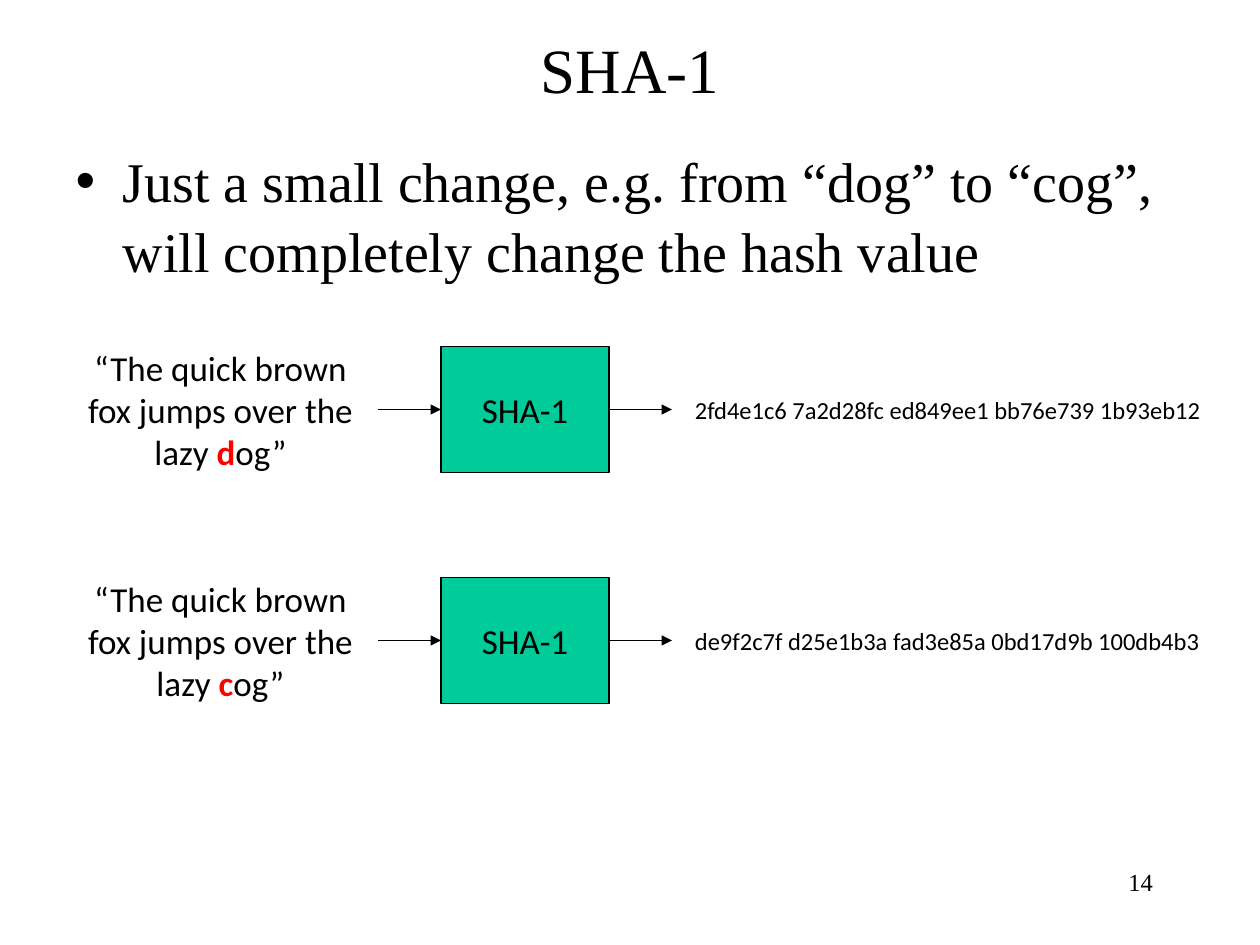
from lxml import etree
from pptx import Presentation
from pptx.dml.color import RGBColor
from pptx.enum.shapes import MSO_CONNECTOR, MSO_SHAPE
from pptx.enum.text import MSO_ANCHOR, MSO_AUTO_SIZE, PP_ALIGN
from pptx.oxml.ns import qn
from pptx.util import Pt

TITLE = "SHA-1"
BULLET = "Just a small change, e.g. from “dog” to “cog”, will completely change the hash value"
PAGE = "14"
HASHES = [
    ("d", "2fd4e1c6 7a2d28fc ed849ee1 bb76e739 1b93eb12"),
    ("c", "de9f2c7f d25e1b3a fad3e85a 0bd17d9b 100db4b3"),
]
COLORS = {"ink": "000000", "box": "00CC99", "changed": "FF0000"}
SERIF, SANS = "Times New Roman", "Calibri"

ROW_TOP, ROW_PITCH, ROW_H = 198, 132, 72
INPUT_X, INPUT_W = 36, 180
BOX_X, BOX_W = 252, 96
OUTPUT_X, OUTPUT_W = 390, 306
ARROW_W, ARROW_DROP = 36, 36


def rgb(name):
    return RGBColor.from_string(COLORS[name])


def place(s, x, y, w, h):
    s.left, s.top, s.width, s.height = Pt(x), Pt(y), Pt(w), Pt(h)


def write(s, runs, size, font, align=PP_ALIGN.LEFT, anchor=MSO_ANCHOR.MIDDLE):
    tf = s.text_frame
    tf.word_wrap = True
    tf.auto_size = MSO_AUTO_SIZE.NONE
    tf.vertical_anchor = anchor
    p = tf.paragraphs[0]
    p.alignment = align
    p.font.size, p.font.name = Pt(size), font
    for text, color in runs:
        r = p.add_run()
        r.text = text
        r.font.color.rgb = rgb(color)
        if color == "changed":
            r.font.bold = True
    return p


def add_text(x, y, w, h, *style):
    write(shapes.add_textbox(Pt(x), Pt(y), Pt(w), Pt(h)), *style)


def add_arrow(x, y):
    c = shapes.add_connector(MSO_CONNECTOR.STRAIGHT, Pt(x), Pt(y), Pt(x + ARROW_W), Pt(y))
    c.line.color.rgb = rgb("ink")
    c.line.width = Pt(0.75)
    etree.SubElement(c.line._get_or_add_ln(), qn("a:tailEnd"), type="triangle")
    etree.SubElement(c._element.spPr, qn("a:effectLst"))


def add_box(x, y, w, h, label):
    s = shapes.add_shape(MSO_SHAPE.RECTANGLE, Pt(x), Pt(y), Pt(w), Pt(h))
    s.shadow.inherit = False
    s.fill.solid()
    s.fill.fore_color.rgb = rgb("box")
    s.line.color.rgb = rgb("ink")
    s.line.width = Pt(0.75)
    write(s, [(label, "ink")], 20, SANS, PP_ALIGN.CENTER)


prs = Presentation()
prs.slide_width, prs.slide_height = Pt(720), Pt(540)
slide = prs.slides.add_slide(prs.slide_layouts[1])
shapes = slide.shapes

title, body = shapes.title, slide.placeholders[1]
place(title, 36, 12, 648, 54)
write(title, [(TITLE, "ink")], 36, SERIF, PP_ALIGN.CENTER)

place(body, 36, 78, 648, 356)
p = write(body, [(BULLET, "ink")], 32, SERIF, anchor=MSO_ANCHOR.TOP)
p.line_spacing = 1.05
p.space_before = Pt(2)
pPr = p._p.get_or_add_pPr()
pPr.set("marL", str(Pt(27)))
pPr.set("indent", str(-Pt(27)))

for i, (letter, digest) in enumerate(HASHES):
    y = ROW_TOP + i * ROW_PITCH
    phrase = [("“The quick brown fox jumps over the lazy ", "ink"), (letter, "changed"), ("og”", "ink")]
    add_text(INPUT_X, y, INPUT_W, ROW_H, phrase, 20, SANS, PP_ALIGN.CENTER)
    add_box(BOX_X, y, BOX_W, ROW_H, TITLE)
    add_text(OUTPUT_X, y, OUTPUT_W, ROW_H, [(digest, "ink")], 14, SANS)
    for x in (BOX_X - ARROW_W, BOX_X + BOX_W):
        add_arrow(x, y + ARROW_DROP)

add_text(516, 492, 150, 36, [(PAGE, "ink")], 14, SERIF, PP_ALIGN.RIGHT, MSO_ANCHOR.TOP)

prs.save("out.pptx")
